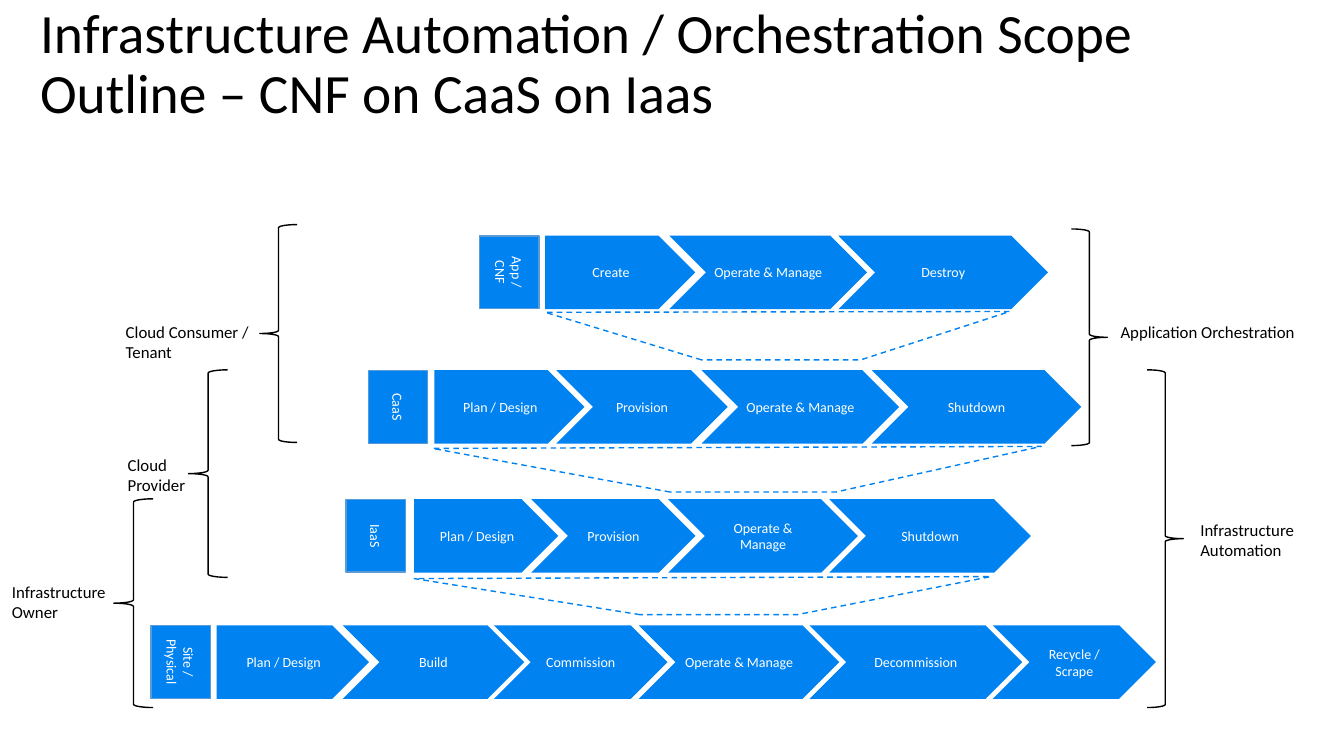
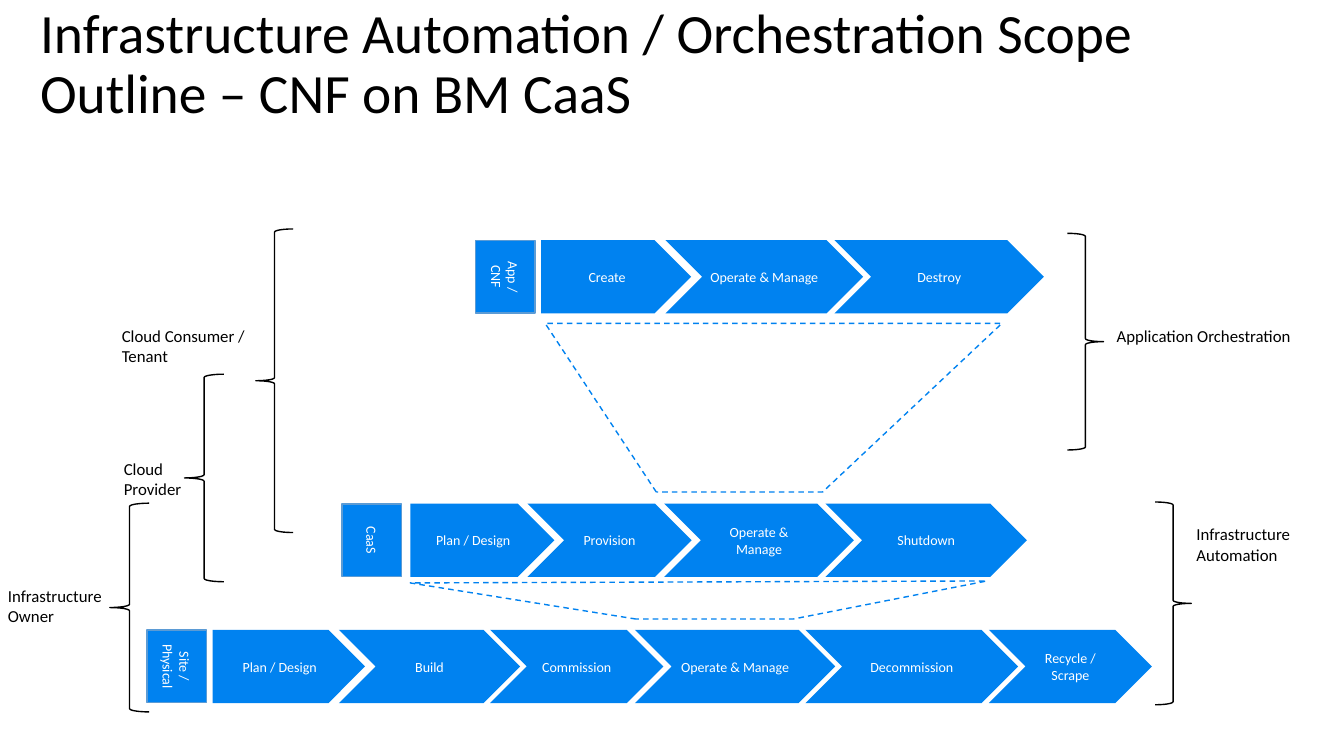
from pptx import Presentation
from pptx.dml.color import RGBColor
from pptx.enum.dml import MSO_LINE
from pptx.enum.shapes import MSO_SHAPE
from pptx.enum.text import MSO_ANCHOR, MSO_AUTO_SIZE, PP_ALIGN
from pptx.util import Cm, Pt

COLORS = {"blue": "0082F0", "edge": "5B9BD5", "black": "000000", "white": "FFFFFF"}
FONT = "Calibri"
ROW_HEIGHT = 1.85
TAG_WIDTH, TAG_HEIGHT = 1.83, 1.5

# Life cycles: top, centre of the tag, then label, left and width of each step (cm)
LIFECYCLES = {
    "app": (5.94, 12.83, [
        ("Create", 13.74, 3.78), ("Operate & Manage", 16.87, 4.98),
        ("Destroy", 21.13, 5.28)]),
    "upper": (9.33, 10.03, [
        ("Plan / Design", 10.95, 3.78), ("Provision", 14.02, 4.32),
        ("Operate & Manage", 17.68, 4.98), ("Shutdown", 21.97, 5.28)]),
    "lower": (12.58, 9.47, [
        ("Plan / Design", 10.44, 3.63), ("Provision", 13.39, 4.14),
        ("Operate & Manage", 16.84, 4.78), ("Shutdown", 20.9, 5.08)]),
    "site": (15.76, 4.55, [
        ("Plan / Design", 5.46, 3.84), ("Build", 8.64, 4.57),
        ("Commission", 12.45, 4.37), ("Operate & Manage", 16.1, 5.05),
        ("Decommission", 20.4, 5.36), ("Recycle / Scrape", 25.02, 4.11)]),
}

# Role labels: text, left, top, width (cm)
ROLES = [
    ("Cloud Consumer /\nTenant", 2.97, 8.0, 3.8),
    ("Cloud\nProvider", 3.02, 11.35, 3.8),
    ("Infrastructure\nOwner", 0.1, 14.55, 3.8),
    ("Infrastructure\nAutomation", 30.05, 13.0, 3.8),
    ("Application Orchestration", 28.04, 8.0, 4.9),
]

# Braces found on both slides: shape, left, top, width, height (cm)
LEFT, RIGHT = MSO_SHAPE.LEFT_BRACE, MSO_SHAPE.RIGHT_BRACE
SHARED_BRACES = [
    (LEFT, 4.75, 9.32, 0.99, 5.23),
    (LEFT, 2.87, 12.57, 0.99, 5.26),
    (RIGHT, 27.0, 5.77, 0.91, 5.46),
]
SITE_FUNNEL = [(16.13, 15.49), (10.44, 14.58), (24.97, 14.53), (20.09, 15.49)]

SLIDES = [
    {
        "title": "Infrastructure Automation / Orchestration Scope Outline – CNF on CaaS on Iaas",
        "shift": (0, 0),
        "tags": {"app": "App / CNF", "upper": "CaaS", "lower": "IaaS", "site": "Site / Physical"},
        "funnels": [
            [(17.68, 9.07), (13.74, 7.87), (25.45, 7.85), (21.69, 9.07)],
            [(16.89, 12.4), (10.9, 11.3), (26.24, 11.25), (21.06, 12.4)],
        ],
        "braces": [(LEFT, 6.55, 5.66, 0.94, 5.49), (RIGHT, 28.91, 9.32, 0.91, 8.51)],
    },
    {
        "title": "Infrastructure Automation / Orchestration Scope Outline – CNF on BM CaaS",
        "shift": (-0.1, 0.11),
        "tags": {"app": "App / CNF", "lower": "CaaS", "site": "Site / Physical"},
        "funnels": [[(16.64, 12.29), (13.84, 8.04), (25.35, 8.04), (20.83, 12.29)]],
        "braces": [(LEFT, 6.55, 5.66, 0.94, 7.65), (RIGHT, 29.21, 12.54, 0.91, 5.11)],
    },
]


def set_text(shape, text, size, color, align=PP_ALIGN.LEFT, anchor=MSO_ANCHOR.TOP):
    frame = shape.text_frame
    frame.text = text
    frame.word_wrap = True
    frame.vertical_anchor = anchor
    frame.margin_left = frame.margin_right = Cm(0.2)
    frame.margin_top = frame.margin_bottom = Cm(0.1)
    for paragraph in frame.paragraphs:
        paragraph.alignment = align
        paragraph.font.name = FONT
        paragraph.font.size = Pt(size)
        paragraph.font.color.rgb = RGBColor.from_string(COLORS[color])


def set_look(shape, fill=None, line=None):
    shape.shadow.inherit = False
    if fill:
        shape.fill.solid()
        shape.fill.fore_color.rgb = RGBColor.from_string(COLORS[fill])
    else:
        shape.fill.background()
    if line:
        shape.line.color.rgb = RGBColor.from_string(COLORS[line])
        shape.line.width = Pt(1)
    else:
        shape.line.fill.background()


presentation = Presentation()
presentation.slide_width = Cm(33.87)
presentation.slide_height = Cm(19.05)

for content in SLIDES:
    slide = presentation.slides.add_slide(presentation.slide_layouts[5])
    shapes = slide.shapes
    shift_x, shift_y = content["shift"]

    # Title
    title = shapes.title
    title.left, title.top, title.width, title.height = Cm(0.76), Cm(0.15), Cm(31.2), Cm(3)
    set_text(title, content["title"], 39.6, "black", anchor=MSO_ANCHOR.MIDDLE)
    title.text_frame.auto_size = MSO_AUTO_SIZE.NONE
    title.text_frame.margin_left = title.text_frame.margin_right = Cm(0.25)
    title.text_frame.paragraphs[0].line_spacing = 0.9

    # Life cycle rows: a turned tag, then a chain of steps
    for row, tag_text in content["tags"].items():
        top, tag_center, steps = LIFECYCLES[row]
        top += shift_y
        tag = shapes.add_shape(
            MSO_SHAPE.RECTANGLE, Cm(tag_center + shift_x - TAG_WIDTH / 2),
            Cm(top + (ROW_HEIGHT - TAG_HEIGHT) / 2), Cm(TAG_WIDTH), Cm(TAG_HEIGHT))
        tag.rotation = 90
        set_look(tag, "blue", "edge")
        set_text(tag, tag_text, 10, "white", PP_ALIGN.CENTER, MSO_ANCHOR.MIDDLE)
        for index, (label, left, width) in enumerate(steps):
            kind = MSO_SHAPE.CHEVRON if index else MSO_SHAPE.PENTAGON
            step = shapes.add_shape(
                kind, Cm(left + shift_x), Cm(top), Cm(width), Cm(ROW_HEIGHT))
            set_look(step, "blue")
            set_text(step, label, 10, "white", PP_ALIGN.CENTER, MSO_ANCHOR.MIDDLE)

    # Dashed funnels between the rows
    for funnel_points in content["funnels"] + [SITE_FUNNEL]:
        points = [(Cm(x + shift_x), Cm(y + shift_y)) for x, y in funnel_points]
        builder = shapes.build_freeform(*points[0])
        builder.add_line_segments(points[1:], close=True)
        funnel = builder.convert_to_shape()
        set_look(funnel, line="blue")
        funnel.line.dash_style = MSO_LINE.DASH

    # Braces
    for kind, left, top, width, height in SHARED_BRACES + content["braces"]:
        brace = shapes.add_shape(
            kind, Cm(left + shift_x), Cm(top + shift_y), Cm(width), Cm(height))
        set_look(brace, line="black")

    # Role labels
    for text, left, top, width in ROLES:
        role = shapes.add_textbox(
            Cm(left + shift_x), Cm(top + shift_y), Cm(width), Cm(1.14))
        set_text(role, text, 12, "black")

presentation.save("out.pptx")
